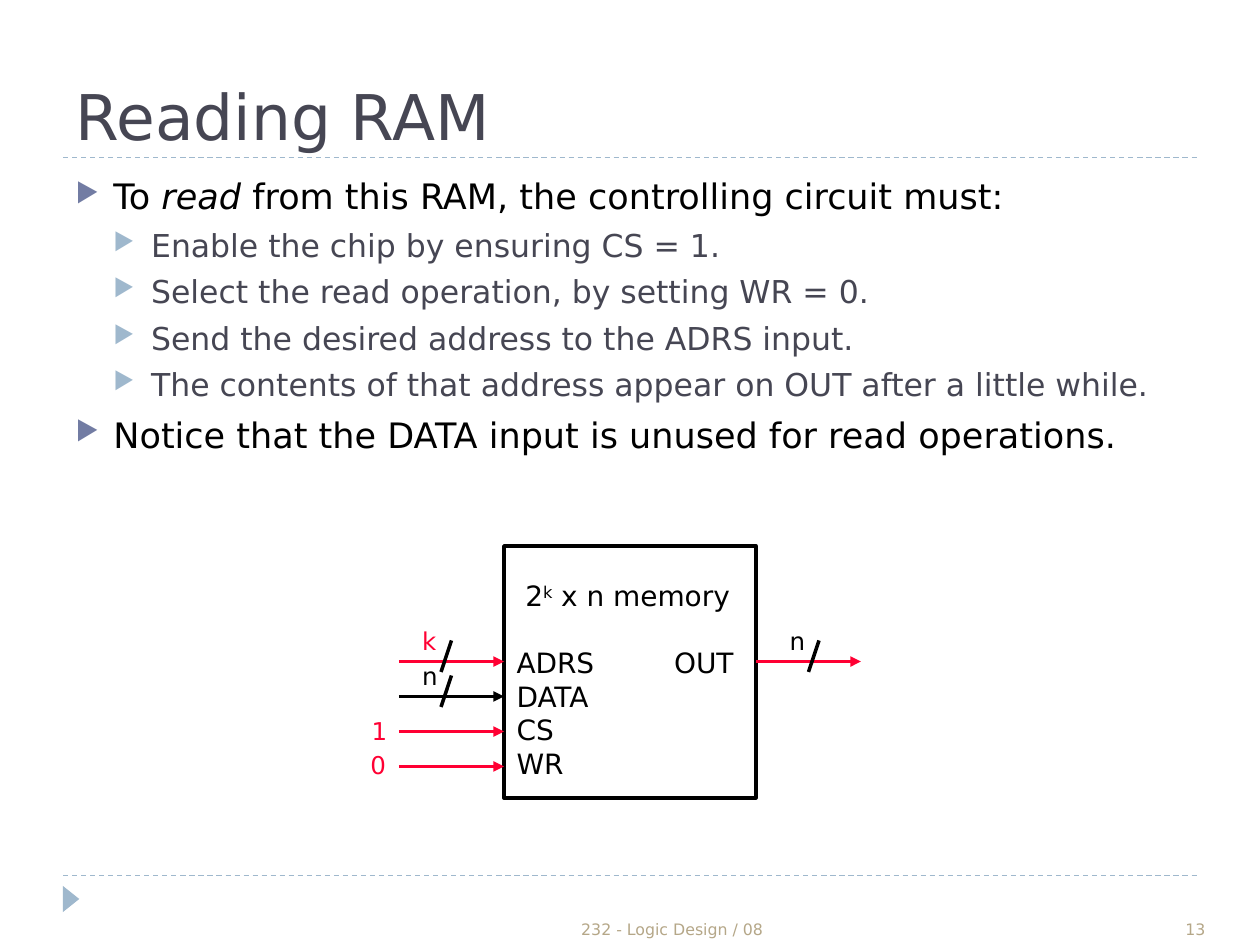
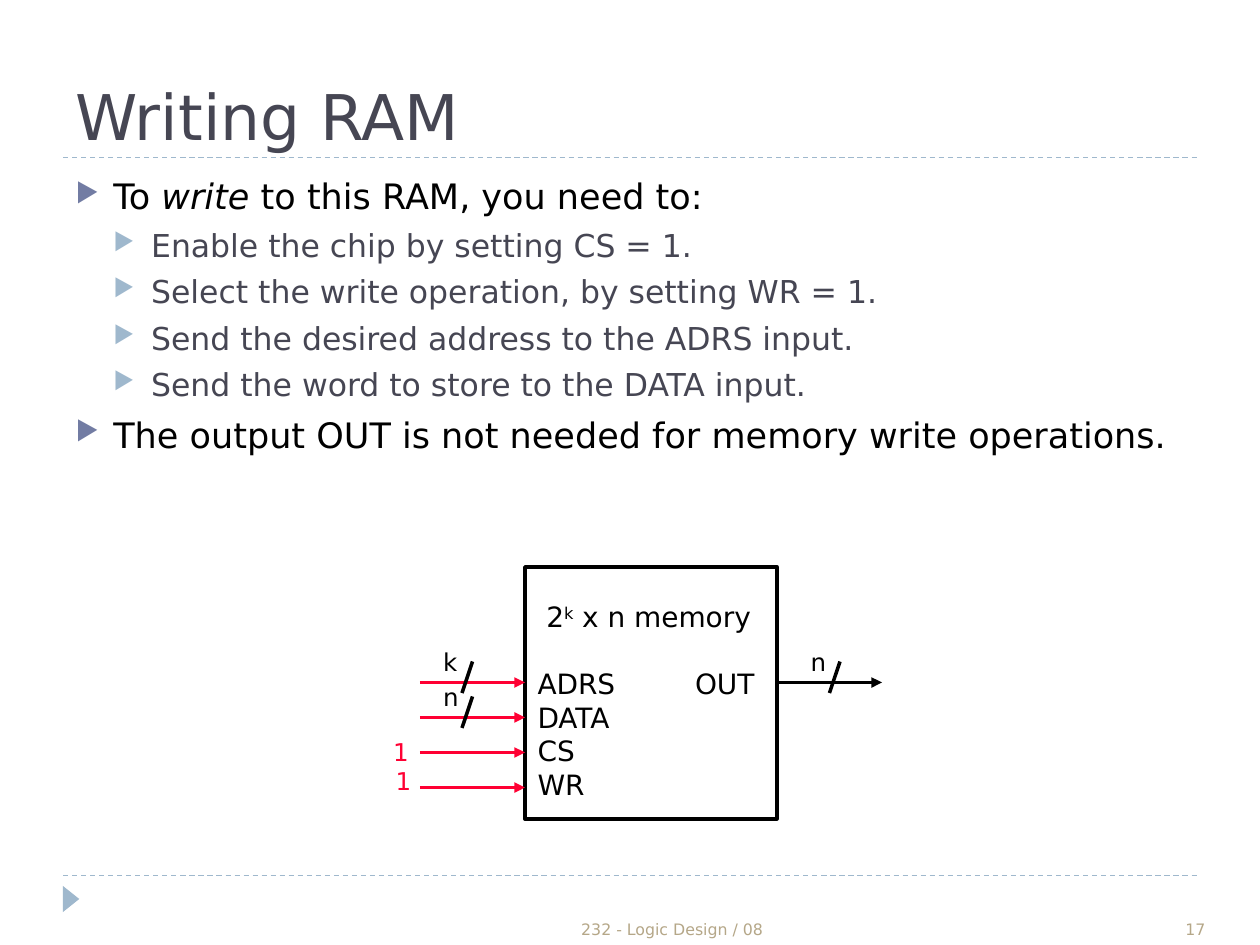
"""Build two slides that explain reading and writing a RAM chip."""
from lxml.etree import SubElement
from pptx import Presentation
from pptx.dml.color import RGBColor
from pptx.enum.dml import MSO_LINE
from pptx.enum.shapes import MSO_CONNECTOR, MSO_SHAPE
from pptx.enum.text import MSO_ANCHOR, PP_ALIGN
from pptx.oxml.ns import qn
from pptx.util import Pt

COLORS = {
    "title": "464653", "black": "000000", "bullet": "727CA3",
    "accent": "9FB8CD", "footer": "B5A788", "red": "FF0033",
}
FONT = "DejaVu Sans"
LINE_HEIGHT = 1.2
FOOTER = "232 - Logic Design / 08"
LEVELS = [
    {"size": 20, "color": "black", "bullet": "bullet", "indent": 21.6, "before": 6},
    {"size": 18, "color": "title", "bullet": "accent", "indent": 43.2, "before": 5},
]
HANGING = 21.6

SLIDES = [
    {
        "title": "Reading RAM",
        "number": "13",
        "points": [
            (0, "To *read* from this RAM, the controlling circuit must:"),
            (1, "Enable the chip by ensuring CS = 1."),
            (1, "Select the read operation, by setting WR = 0."),
            (1, "Send the desired address to the ADRS input."),
            (1, "The contents of that address appear on OUT after a little while."),
            (0, "Notice that the DATA input is unused for read operations."),
        ],
        "chip": (288, 312),
        "buses": [("k", "red", "red"), ("n", "black", "black")],
        "signals": [("1", -75.6, -9), ("0", -76.3, -9.6)],
        "output": ("n", "red", "black"),
    },
    {
        "title": "Writing RAM",
        "number": "17",
        "points": [
            (0, "To *write* to this RAM, you need to:"),
            (1, "Enable the chip by setting CS = 1."),
            (1, "Select the write operation, by setting WR = 1."),
            (1, "Send the desired address to the ADRS input."),
            (1, "Send the word to store to the DATA input."),
            (0, "The output OUT is not needed for memory write operations."),
        ],
        "chip": (300, 324),
        "buses": [("k", "red", "black"), ("n", "red", "black")],
        "signals": [("1", -75.4, -8.8), ("1", -73.9, -12.2)],
        "output": ("n", "black", "black"),
    },
]

PINS = ["ADRS\tOUT", "DATA", "CS", "WR"]
CHIP_SIZE = 144
FIRST_PIN, PIN_GAP = 66, 20
WIRE = 60
OUT_TAB = 90


def rgb(name):
    """Return the named colour."""
    return RGBColor.from_string(COLORS[name])


def add_box(slide, left, top, width, height, anchor=MSO_ANCHOR.TOP):
    """Add an empty text frame without margins."""
    frame = slide.shapes.add_textbox(Pt(left), Pt(top), Pt(width), Pt(height)).text_frame
    frame.word_wrap = True
    frame.vertical_anchor = anchor
    frame.margin_left = frame.margin_top = frame.margin_right = frame.margin_bottom = 0
    return frame


def write(frame, text, size, color, before=0, align=PP_ALIGN.LEFT,
          indent=0, bullet=None, tab=None, emphasis="italic"):
    """Write one paragraph; a part between asterisks gets the emphasis."""
    paragraph = frame.paragraphs[0]
    first = not paragraph.runs
    if not first:
        paragraph = frame.add_paragraph()
    properties = paragraph._p.get_or_add_pPr()
    properties.set("marL", str(Pt(indent)))
    if bullet:
        properties.set("indent", str(-Pt(HANGING)))
        bullet_color = SubElement(properties, qn("a:buClr"))
        SubElement(bullet_color, qn("a:srgbClr"), val=COLORS[bullet])
        SubElement(properties, qn("a:buSzPct"), val="76000")
        SubElement(properties, qn("a:buChar"), char="▶")
    if tab:
        tabs = SubElement(properties, qn("a:tabLst"))
        SubElement(tabs, qn("a:tab"), pos=str(Pt(tab)), algn="l")
    paragraph.alignment = align
    paragraph.line_spacing = Pt(size * LINE_HEIGHT)
    paragraph.space_before = Pt(0 if first else before)
    for index, part in enumerate(text.split("*")):
        run = paragraph.add_run()
        run.text = part
        run.font.name = FONT
        run.font.size = Pt(size)
        run.font.color.rgb = rgb(color)
        if index % 2 and emphasis == "italic":
            run.font.italic = True
        elif index % 2:
            run._r.get_or_add_rPr().set("baseline", "30000")


def add_line(slide, start, end, color, width=2, dashed=False, arrow=False):
    """Add a straight line, dashed or with an arrowhead if wanted."""
    connector = slide.shapes.add_connector(
        MSO_CONNECTOR.STRAIGHT, *(Pt(value) for value in (*start, *end)))
    connector.line.color.rgb = rgb(color)
    connector.line.width = Pt(width)
    if dashed:
        connector.line.dash_style = MSO_LINE.DASH
    if arrow:
        SubElement(connector.line._get_or_add_ln(), qn("a:tailEnd"), type="triangle")
    SubElement(connector._element.spPr, qn("a:effectLst"))


def add_frame(slide, title, number):
    """Add the rules, corner mark, footer and title that the slides share."""
    for y in (500.4, 90):
        add_line(slide, (36, y), (684, y), "accent", width=0.75, dashed=True)
    mark = slide.shapes.add_shape(
        MSO_SHAPE.ISOSCELES_TRIANGLE, Pt(33.1), Pt(509), Pt(15), Pt(9.4))
    mark.rotation = 90
    mark.shadow.inherit = False
    mark.fill.solid()
    mark.fill.fore_color.rgb = rgb("accent")
    mark.line.fill.background()
    write(add_box(slide, 205.2, 521.4, 357.6, 15, MSO_ANCHOR.BOTTOM),
          FOOTER, 9, "footer", align=PP_ALIGN.CENTER)
    write(add_box(slide, 637.2, 521.4, 51.6, 15, MSO_ANCHOR.BOTTOM),
          number, 9, "footer", align=PP_ALIGN.RIGHT)
    write(add_box(slide, 43.2, 15.4, 633.6, 72, MSO_ANCHOR.BOTTOM), title, 36, "title")


def add_bus(slide, x, y, bus, shift=0):
    """Add an arrow with a slash and a width label above it."""
    label, color, label_color = bus
    add_line(slide, (x, y), (x + WIRE, y), color, arrow=True)
    slash = x + shift + 30
    add_line(slide, (slash, y - 12), (slash - 6, y + 6), "black")
    write(add_box(slide, x + shift + 13.2, y - 20.4, 12, 17), label, 14, label_color)


def add_chip(slide, content):
    """Add the memory chip with its pins and wires."""
    left, top = content["chip"]
    frame = add_box(slide, left + 7.2, top + 18.6, CHIP_SIZE - 14.4, 116)
    write(frame, "2*k* x n memory", 16, "black", indent=5, emphasis="superscript")
    for index, pin in enumerate(PINS):
        write(frame, pin, 16, "black", tab=OUT_TAB,
              before=0 if index else 16 * LINE_HEIGHT)
    chip = slide.shapes.add_shape(
        MSO_SHAPE.RECTANGLE, Pt(left), Pt(top), Pt(CHIP_SIZE), Pt(CHIP_SIZE))
    chip.shadow.inherit = False
    chip.fill.background()
    chip.line.color.rgb = rgb("black")
    chip.line.width = Pt(2)

    rows = [top + FIRST_PIN + index * PIN_GAP for index in range(len(PINS))]
    for y, bus in zip(rows, content["buses"]):
        add_bus(slide, left - WIRE, y, bus)
    for y, (value, offset, rise) in zip(rows[2:], content["signals"]):
        add_line(slide, (left - WIRE, y), (left, y), "red", arrow=True)
        write(add_box(slide, left + offset, y + rise, 12, 17), value, 14, "red")
    add_bus(slide, left + CHIP_SIZE, rows[0], content["output"], shift=6)


def main():
    """Build and save the presentation."""
    presentation = Presentation()
    presentation.slide_width, presentation.slide_height = Pt(720), Pt(540)
    for content in SLIDES:
        slide = presentation.slides.add_slide(presentation.slide_layouts[6])
        add_frame(slide, content["title"], content["number"])
        body = add_box(slide, 43.2, 100, 633.6, 379)
        for level, text in content["points"]:
            write(body, text, **LEVELS[level])
        add_chip(slide, content)
    presentation.save("out.pptx")


if __name__ == "__main__":
    main()
